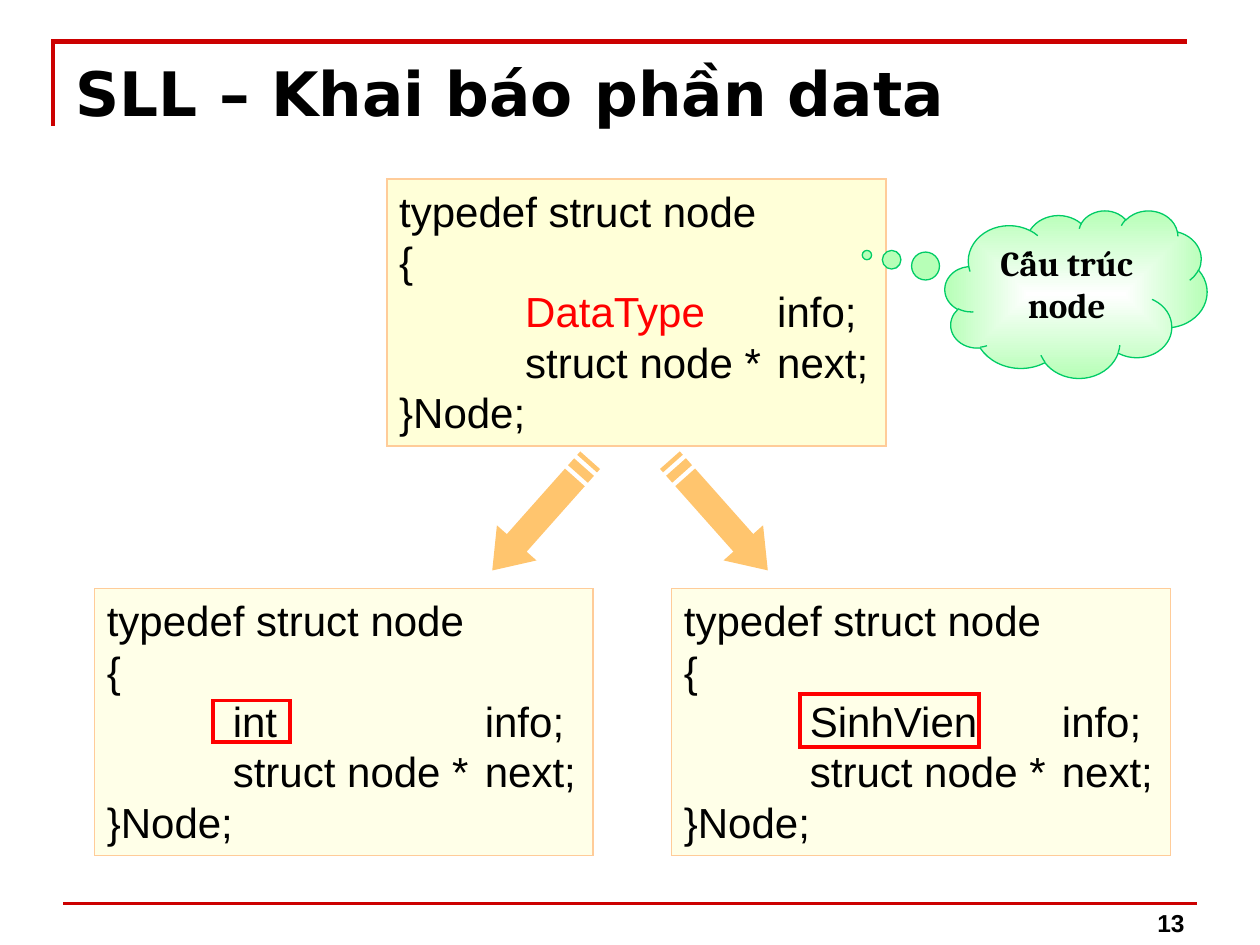
from lxml.etree import SubElement
from pptx import Presentation
from pptx.dml.color import RGBColor
from pptx.enum.shapes import MSO_CONNECTOR, MSO_SHAPE
from pptx.enum.text import MSO_ANCHOR, MSO_AUTO_SIZE, PP_ALIGN
from pptx.oxml.ns import qn
from pptx.util import Inches, Pt

BLACK, RED, RULE_RED = "000000", "FF0000", "CC0000"
CREAM, PEACH, ORANGE = "FFFFCC", "FFCC99", "FF9900"
MINT, GREEN, WHITE = "B7FFB7", "00CC66", "FFFFFF"


def color(value):
    return RGBColor.from_string(value)


class SlideBuilder:
    """Holds the style and the current slide, with a method per kind of element."""

    code_font, title_font, callout_font = "Arial", "DejaVu Sans", "Cambria"

    def __init__(self, slide):
        self.slide = slide

    def style_font(self, font, name, size, bold=False):
        font.name, font.size, font.bold = name, Pt(size), bold
        font.color.rgb = color(BLACK)

    def style_line(self, shape, value, width):
        shape.line.color.rgb = color(value)
        shape.line.width = Pt(width)
        SubElement(shape._element.spPr.find(qn("a:ln")), qn("a:miter"), lim="800000")

    def shape(self, preset, left, top, width, height):
        shape = self.slide.shapes.add_shape(
            preset, Inches(left), Inches(top), Inches(width), Inches(height))
        shape.shadow.inherit = False
        return shape

    def fill(self, shape, value, opacity):
        shape.fill.solid()
        shape.fill.fore_color.rgb = color(value)
        solid = shape._element.spPr.find(qn("a:solidFill"))
        SubElement(solid[0], qn("a:alpha"), val=str(opacity * 1000))

    def title(self, text):
        title = self.slide.shapes.title
        title.left, title.top = Inches(0.5), Inches(0.39)
        title.width, title.height = Inches(9), Inches(0.86)
        frame = title.text_frame
        frame.text = text
        frame.vertical_anchor = MSO_ANCHOR.TOP
        heading = frame.paragraphs[0]
        heading.alignment = PP_ALIGN.LEFT
        self.style_font(heading.font, self.title_font, 35, True)

    def corner_rule(self, left, top, right, bottom):
        builder = self.slide.shapes.build_freeform(Inches(left), Inches(bottom))
        builder.add_line_segments(
            [(Inches(left), Inches(top)), (Inches(right), Inches(top))], close=False)
        corner = builder.convert_to_shape()
        corner.shadow.inherit = False
        corner.fill.background()
        self.style_line(corner, RULE_RED, 2.5)

    def footer_rule(self, left, right, top):
        rule = self.slide.shapes.add_connector(
            MSO_CONNECTOR.STRAIGHT, Inches(left), Inches(top), Inches(right), Inches(top))
        self.style_line(rule, RULE_RED, 2)
        SubElement(rule._element.spPr, qn("a:effectLst"))

    def page_number(self, text):
        box = self.slide.shapes.add_textbox(
            Inches(7.17), Inches(6.99), Inches(2.33), Inches(0.5))
        frame = box.text_frame
        frame.word_wrap = True
        frame.vertical_anchor = MSO_ANCHOR.BOTTOM
        frame.text = text
        number = frame.paragraphs[0]
        number.alignment = PP_ALIGN.RIGHT
        self.style_font(number.font, self.code_font, 14, True)

    def node_code(self, left, top, info_runs, opacity):
        panel = self.shape(MSO_SHAPE.RECTANGLE, left, top, 3.96, 2.12)
        self.fill(panel, CREAM, opacity)
        self.style_line(panel, PEACH, 1)
        frame = panel.text_frame
        frame.word_wrap = False
        frame.auto_size = MSO_AUTO_SIZE.SHAPE_TO_FIT_TEXT
        frame.vertical_anchor = MSO_ANCHOR.TOP
        code = [[("typedef struct node", BLACK)], [("{", BLACK)], info_runs,
                [("\tstruct node * \tnext;", BLACK)], [("}Node;", BLACK)]]
        for index, runs in enumerate(code):
            line = frame.add_paragraph() if index else frame.paragraphs[0]
            line.alignment = PP_ALIGN.LEFT
            line._p.get_or_add_pPr().set("defTabSz", str(Inches(1)))
            self.style_font(line.font, self.code_font, 24)
            for text, value in runs:
                run = line.add_run()
                run.text = text
                run.font.color.rgb = color(value)

    def striped_arrow(self, left, top, rotation):
        width, height, head = 1.17, 0.42, 0.75
        stripes = [[(start, 0.25), (end, 0.25), (end, 0.75), (start, 0.75)]
                   for start, end in ((0, 1 / 32), (2 / 32, 4 / 32))]
        body = [(5 / 32, 0.25), (head, 0.25), (head, 0), (1, 0.5),
                (head, 1), (head, 0.75), (5 / 32, 0.75)]
        builder = None
        for outline in (body, *stripes):
            start, *corners = [(Inches(left + x * width), Inches(top + y * height))
                               for x, y in outline]
            if builder:
                builder.move_to(*start)
            else:
                builder = self.slide.shapes.build_freeform(*start)
            builder.add_line_segments(corners, close=True)
        arrow = builder.convert_to_shape()
        arrow.shadow.inherit = False
        arrow.rotation = rotation
        self.fill(arrow, ORANGE, 57)
        arrow.line.fill.background()

    def highlight(self, left, top, width, height):
        frame = self.shape(MSO_SHAPE.RECTANGLE, left, top, width, height)
        frame.fill.background()
        self.style_line(frame, RED, 2.25)

    def cloud(self, text, left, top, width, height):
        cloud = self.shape(MSO_SHAPE.CLOUD_CALLOUT, left, top, width, height)
        cloud.adjustments[0], cloud.adjustments[1] = -0.798, -0.233
        cloud.fill.gradient()
        for stop, value in zip(cloud.fill.gradient_stops, (WHITE, MINT)):
            stop.color.rgb = color(value)
        gradient = cloud._element.spPr.find(qn("a:gradFill"))
        gradient.remove(gradient.find(qn("a:lin")))
        shade = SubElement(gradient, qn("a:path"), path="rect")
        gradient.find(qn("a:gsLst")).addnext(shade)
        SubElement(shade, qn("a:fillToRect"), l="50000", t="50000", r="50000", b="50000")
        self.style_line(cloud, GREEN, 0.75)
        frame = cloud.text_frame
        frame.word_wrap = True
        frame.vertical_anchor = MSO_ANCHOR.TOP
        frame.text = text
        label = frame.paragraphs[0]
        label.alignment = PP_ALIGN.CENTER
        self.style_font(label.font, self.callout_font, 20, True)


def main():
    deck = Presentation()
    deck.slide_width, deck.slide_height = Inches(10), Inches(7.5)
    page = SlideBuilder(deck.slides.add_slide(deck.slide_layouts[5]))

    page.corner_rule(0.42, 0.33, 9.42, 1)
    page.footer_rule(0.5, 9.5, 7.17)
    page.page_number("13")
    page.title("SLL – Khai báo phần data")

    generic_info = [("\t", BLACK), ("DataType", RED), (" \tinfo;", BLACK)]
    page.node_code(3.07, 1.42, generic_info, 76)
    for left, info in ((0.75, "\tint \t\tinfo;"), (5.33, "\tSinhVien\tinfo;")):
        page.node_code(left, 4.67, [(info, BLACK)], 45)

    for left, rotation in ((3.71, 131.6), (5.12, 48.4)):
        page.striped_arrow(left, 3.88, rotation)
    page.highlight(1.69, 5.56, 0.61, 0.33)
    page.highlight(6.35, 5.51, 1.42, 0.42)
    page.cloud("Cấu trúc node", 7.5, 1.67, 2.08, 1.33)

    deck.save("out.pptx")


if __name__ == "__main__":
    main()
